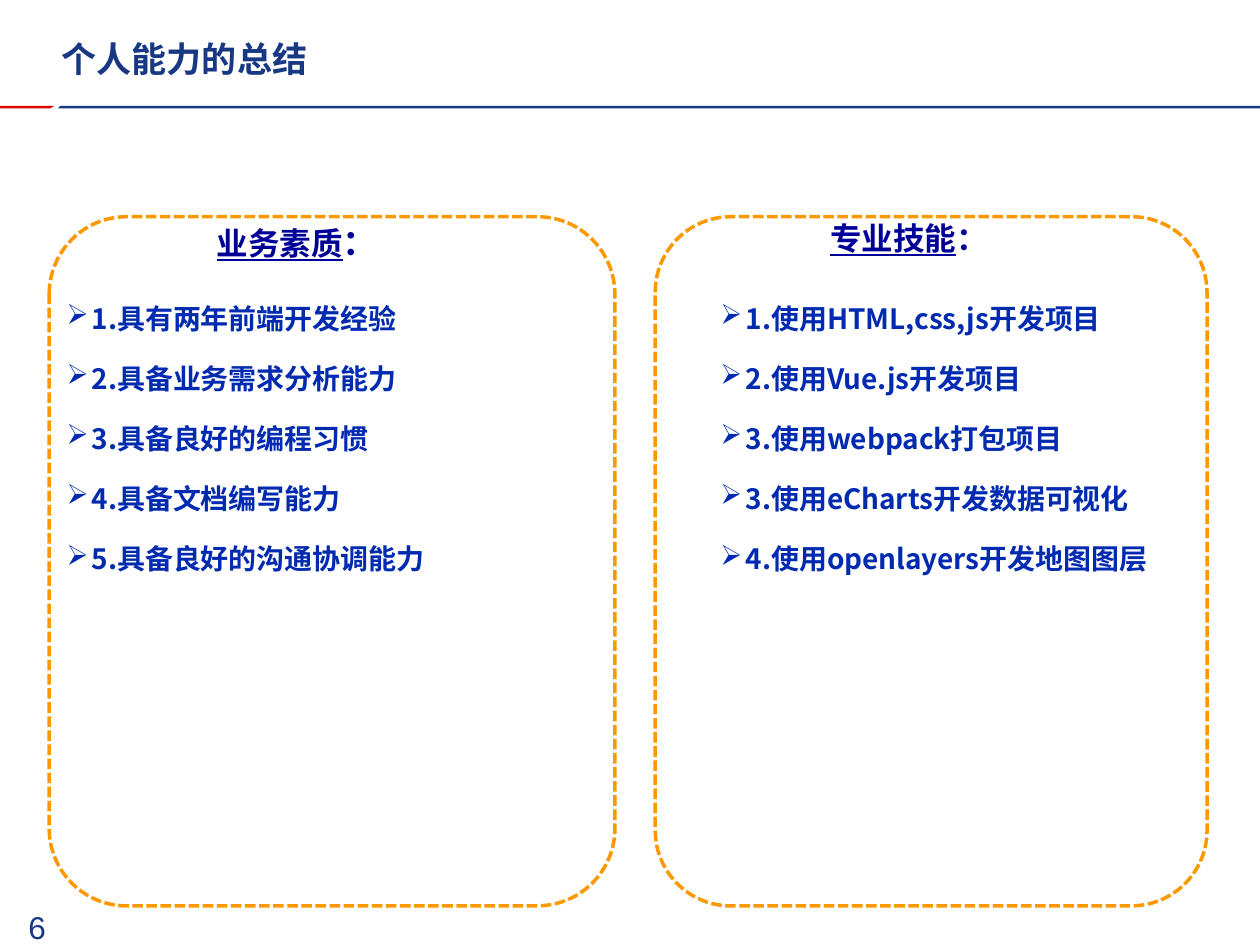
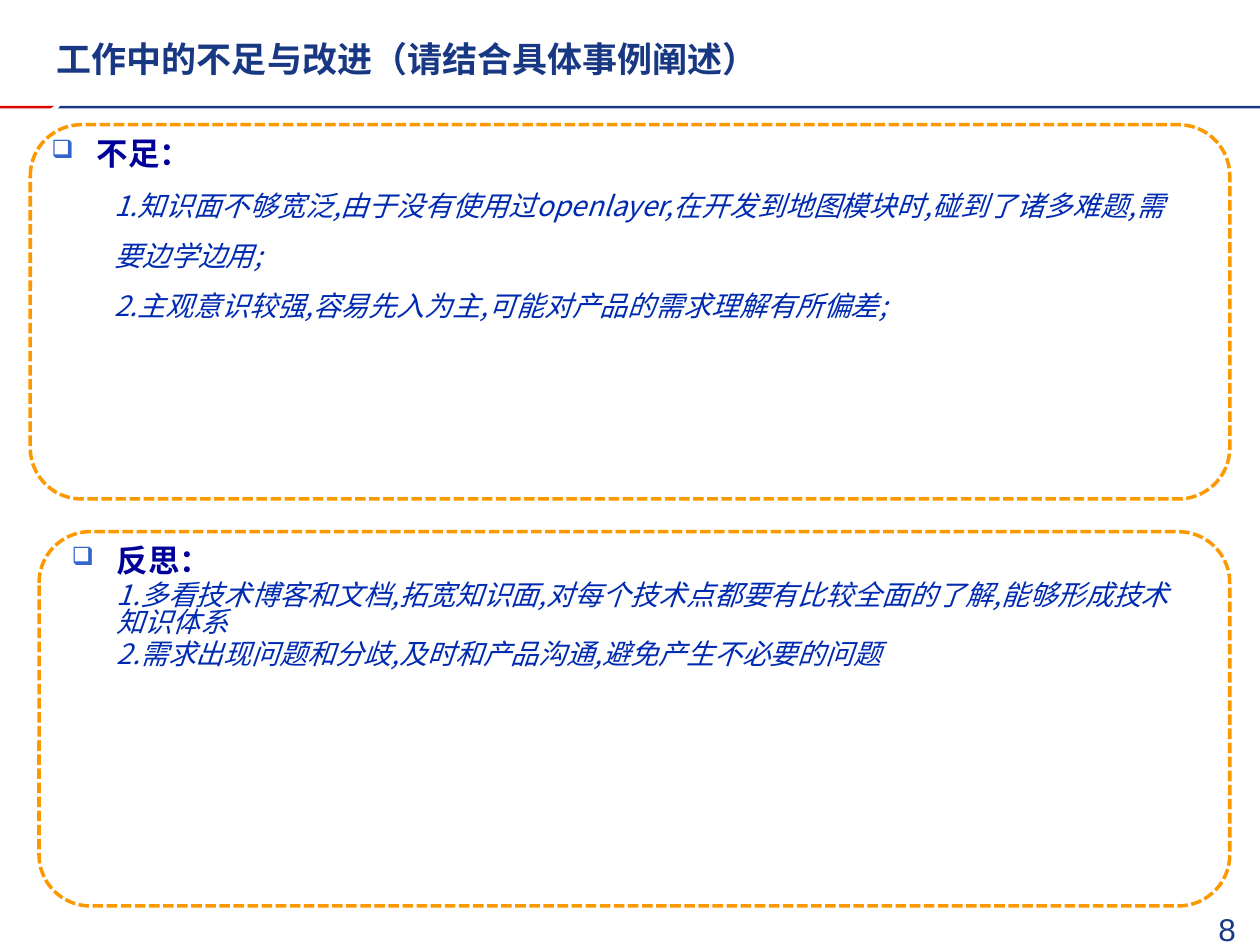
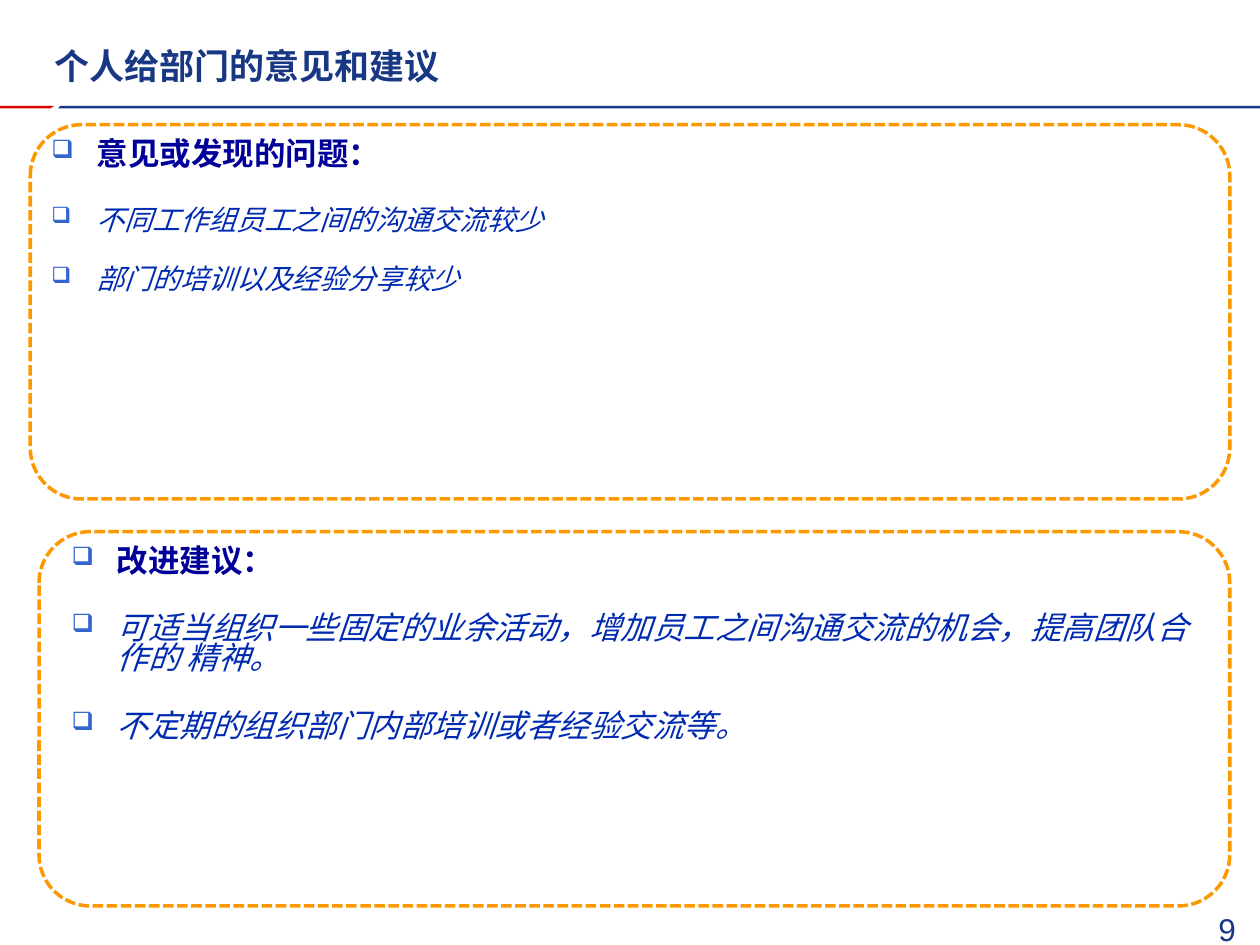
from lxml.etree import SubElement
from pptx import Presentation
from pptx.dml.color import RGBColor
from pptx.enum.dml import MSO_LINE
from pptx.enum.shapes import MSO_SHAPE
from pptx.enum.text import MSO_ANCHOR, MSO_AUTO_SIZE, PP_ALIGN
from pptx.oxml.ns import qn
from pptx.util import Inches, Pt

COLORS = {
    "red": "DE0000", "navy": "183884", "orange": "FD9900", "white": "FFFFFF",
    "heading": "000099", "body": "002BB1", "bullet": "3366CC",
}
CJK = "Noto Sans CJK SC"
LATIN = "Arial"

# Text styles
TITLE = dict(size=20, bold=True, color="navy", name=LATIN)
NUMBER = dict(size=18, color="navy", name=LATIN)
HEADING = dict(size=18, bold=True, color="heading", name=CJK)
SKILL = dict(size=16, bold=True, color="body", name=CJK)
NOTE = dict(size=16, bold=False, italic=True, color="body", name=CJK)
LARGE_NOTE = dict(NOTE, size=18)

# Bullets: character, colour, size in percent, hanging indent
ARROW = ("➢", "body", 100, 0.2)
SQUARE = ("❑", "bullet", 80, 0.36)

# Stacked panels: panel box, then the text's left and top offset and width
UPPER = ((0.24, 0.99, 9.52, 2.97), (0.07, 0.08, 9.14))
LOWER = ((0.31, 4.22, 9.45, 2.97), (0.16, 0.08, 9.06))


def rgb(key):
    return RGBColor.from_string(COLORS[key])


def lengths(box):
    return [Inches(v) for v in box]


def add_run(p, text, style):
    r = p.add_run()
    r.text = text
    for key, value in style.items():
        if key == "color":
            r.font.color.rgb = rgb(value)
        else:
            setattr(r.font, key, Pt(value) if key == "size" else value)
    SubElement(r.font._element, qn("a:ea"), typeface=CJK)
    return r


def set_paragraph(p, bullet=None, indent=0, **formats):
    for key, value in formats.items():
        setattr(p, key, value)
    pPr = p._p.get_or_add_pPr()
    if bullet:
        char, color, percent, indent = bullet
        pPr.set("indent", str(-Inches(indent)))
        clr = SubElement(pPr, qn("a:buClr"))
        SubElement(clr, qn("a:srgbClr"), val=COLORS[color])
        SubElement(pPr, qn("a:buSzPct"), val=str(percent * 1000))
        SubElement(pPr, qn("a:buChar"), char=char)
    if indent:
        pPr.set("marL", str(Inches(indent)))


def add_text(slide, box, paragraphs, wrap=True):
    """Each paragraph is (runs, formats); each run is (text, style)."""
    tf = slide.shapes.add_textbox(*lengths(box)).text_frame
    tf.word_wrap = wrap
    for i, (runs, formats) in enumerate(paragraphs):
        p = tf.add_paragraph() if i else tf.paragraphs[0]
        for text, style in runs:
            add_run(p, text, style)
        set_paragraph(p, **formats)


def add_panel(slide, box):
    sp = slide.shapes.add_shape(MSO_SHAPE.ROUNDED_RECTANGLE, *lengths(box))
    sp.adjustments[0] = 0.137
    sp.shadow.inherit = False
    sp.fill.solid()
    sp.fill.fore_color.rgb = rgb("white")
    sp.line.color.rgb = rgb("orange")
    sp.line.width = Pt(2)
    sp.line.dash_style = MSO_LINE.SQUARE_DOT


def add_title_band(slide, layout):
    """Draw the two-colour rule and hand it to the layout."""
    bands = [
        ("red", [(0, 0.84), (0.43, 0.84), (0.4, 0.86), (0, 0.86)]),
        ("navy", [(0.48, 0.84), (10, 0.84), (10, 0.86), (0.46, 0.86)]),
    ]
    for i, (color, points) in enumerate(bands):
        start, *rest = [lengths(pt) for pt in points]
        builder = slide.shapes.build_freeform(*start)
        builder.add_line_segments(rest)
        sp = builder.convert_to_shape()
        sp.shadow.inherit = False
        sp.fill.solid()
        sp.fill.fore_color.rgb = rgb(color)
        sp.line.fill.background()
        sp.element.nvSpPr.cNvPr.set("id", str(20 + i))
        layout.element.cSld.spTree.append(sp.element)


def set_title(slide, text, box, insets=(0.1, 0.05, 0.1, 0.05)):
    title = slide.shapes.title
    title.left, title.top, title.width, title.height = lengths(box)
    tf = title.text_frame
    formats = dict(zip(("margin_left", "margin_top", "margin_right", "margin_bottom"),
                       lengths(insets)))
    formats.update(vertical_anchor=MSO_ANCHOR.MIDDLE, word_wrap=True,
                   auto_size=MSO_AUTO_SIZE.NONE)
    for key, value in formats.items():
        setattr(tf, key, value)
    p = tf.paragraphs[0]
    p.alignment = PP_ALIGN.LEFT
    add_run(p, text, TITLE)


def add_number(slide, number, box=(9.49, 7.17, 0.5, 0.33)):
    add_text(slide, box, [([(number, NUMBER)], dict(alignment=PP_ALIGN.CENTER))])


def ability_panel(slide, box, heading, heading_box, colon_size, list_left, list_width,
                  items, **heading_format):
    """Panel with an underlined heading and a list of arrow points."""
    x, y, w, h = box
    add_panel(slide, box)
    dx, dy, hw, hh = heading_box
    runs = [(heading, dict(HEADING, underline=True)),
            ("：", dict(HEADING, size=colon_size, underline=False))]
    add_text(slide, (x + dx, y + dy, hw, hh), [(runs, heading_format)], wrap=False)
    top = 0.62
    add_text(slide, (x + list_left, y + top, list_width, h - top),
             [([(item, SKILL)], dict(bullet=ARROW, space_before=Pt(15.2 if i else 0)))
              for i, item in enumerate(items)])


def note_panel(slide, place, heading, notes, style, gaps, **formats):
    """Panel with a square-bulleted heading and notes spaced by gaps."""
    box, (dx, dy, width) = place
    x, y, _, h = box
    add_panel(slide, box)
    paragraphs = [([(heading, HEADING)],
                   dict(bullet=SQUARE, line_spacing=0.8, space_before=Pt(3.6)))]
    for note, gap in zip(notes, gaps):
        paragraphs.append(([(note, style)], dict(formats, space_before=Pt(gap))))
    add_text(slide, (x + dx, y + dy, width, h - dy), paragraphs)


def ability_slide(slide):
    set_title(slide, "个人能力的总结", (0.39, 0.13, 8.78, 0.67))
    ability_panel(slide, (5.2, 1.72, 4.38, 5.47), "专业技能", (1.29, 0, 1.47, 0.37), 18,
                  0.42, 4.14,
                  ["1.使用HTML,css,js开发项目", "2.使用Vue.js开发项目",
                   "3.使用webpack打包项目", "3.使用eCharts开发数据可视化",
                   "4.使用openlayers开发地图图层"],
                  line_spacing=0.9, space_before=Pt(3.6))
    ability_panel(slide, (0.39, 1.72, 4.49, 5.47), "业务素质", (1.23, -0.02, 1.49, 0.44), 20,
                  0.04, 4.22,
                  ["1.具有两年前端开发经验", "2.具备业务需求分析能力",
                   "3.具备良好的编程习惯", "4.具备文档编写能力",
                   "5.具备良好的沟通协调能力"])
    add_number(slide, "6", (0, 7.16, 0.59, 0.26))


def shortcoming_slide(slide):
    set_title(slide, "工作中的不足与改进（请结合具体事例阐述）", (0.35, 0.13, 8.78, 0.67))
    note_panel(slide, UPPER, "不足：",
               ["1.知识面不够宽泛,由于没有使用过openlayer,在开发到地图模块时,碰到了诸多难题,需要边学边用;",
                "2.主观意识较强,容易先入为主,可能对产品的需求理解有所偏差;"],
               NOTE, (0, 0), indent=0.5, line_spacing=1.5)
    note_panel(slide, LOWER, "反思：",
               ["1.多看技术博客和文档,拓宽知识面,对每个技术点都要有比较全面的了解,能够形成技术知识体系",
                "2.需求出现问题和分歧,及时和产品沟通,避免产生不必要的问题"],
               NOTE, (3.2, 3.2), indent=0.36, line_spacing=0.8)
    add_number(slide, "8")


def suggestion_slide(slide):
    set_title(slide, "个人给部门的意见和建议", (0.43, 0.21, 8.51, 0.62), (0, 0, 0.08, 0))
    bulleted = dict(bullet=SQUARE, line_spacing=0.8)
    note_panel(slide, UPPER, "意见或发现的问题：",
               ["不同工作组员工之间的沟通交流较少", "部门的培训以及经验分享较少"],
               NOTE, (21.3, 18.6), **bulleted)
    note_panel(slide, LOWER, "改进建议：",
               ["可适当组织一些固定的业余活动，增加员工之间沟通交流的机会，提高团队合作的 精神。",
                "不定期的组织部门内部培训或者经验交流等。"],
               LARGE_NOTE, (21.3, 21.3), **bulleted)
    add_number(slide, "9")


def main():
    prs = Presentation()
    prs.slide_width, prs.slide_height = Inches(10), Inches(7.5)
    layout = prs.slide_layouts[5]
    for i, build in enumerate((ability_slide, shortcoming_slide, suggestion_slide)):
        slide = prs.slides.add_slide(layout)
        if i == 0:
            add_title_band(slide, layout)
        build(slide)
    prs.save("out.pptx")


if __name__ == "__main__":
    main()
